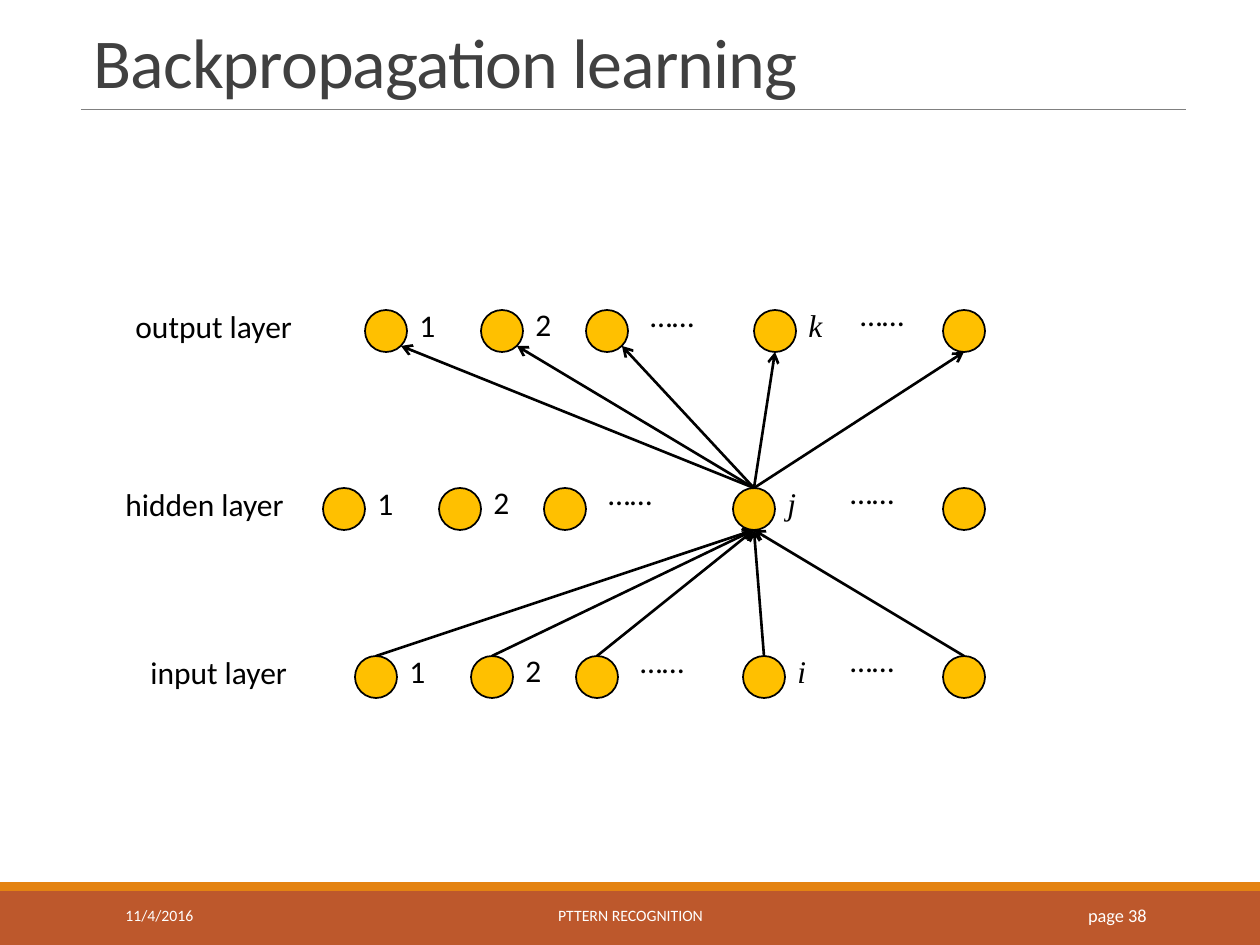
from dataclasses import dataclass

import lxml.etree
import pptx
import pptx.dml.color
import pptx.enum.shapes
import pptx.enum.text
import pptx.oxml.ns
import pptx.util

SCALE = 914400 / 126  # EMU per px
NODE = 42  # node diameter
TEXT_HEIGHT = 50
BLACK, WHITE = "000000", "FFFFFF"
Align = pptx.enum.text.PP_ALIGN
Anchor = pptx.enum.text.MSO_ANCHOR
Shape = pptx.enum.shapes.MSO_SHAPE


@dataclass
class Layer:
    name: str
    name_left: int
    name_width: int
    left: int
    top: int
    letter: str
    letter_node: int
    second_dots: int

    @property
    def nodes(self) -> list[int]:
        return [self.left, self.left + 116, self.left + 221, self.letter_node, 943]


@dataclass
class Footer:
    text: str
    left: int
    width: int
    size: float
    align: Align


LAYERS = [
    Layer("output layer", 123, 184, 365, 310, "k", 754, 848),
    Layer("hidden layer", 113, 186, 323, 488, "j", 733, 838),
    Layer("input layer", 138, 164, 355, 656, "i", 743, 838),
]
FOOTERS = [
    Footer("11/4/2016", 113, 256, 9, Align.LEFT),
    Footer("PTTERN RECOGNITION", 381, 499, 9, Align.CENTER),
    Footer("page 38", 1023, 136, 10.5, Align.RIGHT),
]


def px(length: float) -> pptx.util.Emu:
    return pptx.util.Emu(round(length * SCALE))


def color(value: str) -> pptx.dml.color.RGBColor:
    return pptx.dml.color.RGBColor.from_string(value)


def add_filled(slide, kind: Shape, left: int, top: int, width: int, height: int,
               fill: str, outline: str | None = None) -> None:
    shape = slide.shapes.add_shape(kind, px(left), px(top), px(width), px(height))
    shape.shadow.inherit = False
    shape.fill.solid()
    shape.fill.fore_color.rgb = color(fill)
    if outline:
        shape.line.color.rgb = color(outline)
        shape.line.width = pptx.util.Pt(1)
    else:
        shape.line.fill.background()


def style_span(span, size: float, hue: str, font: str = "Calibri", italic: bool = False) -> None:
    span.font.name = font
    span.font.size = pptx.util.Pt(size)
    span.font.color.rgb = color(hue)
    if italic:
        span.font.italic = True


def add_text(slide, text: str, left: int, top: int, width: int, size: float = 18,
             hue: str = BLACK, font: str = "Calibri", italic: bool = False,
             align: Align = Align.LEFT, anchor: Anchor = Anchor.TOP, wrap: bool = True) -> None:
    box = slide.shapes.add_textbox(px(left), px(top), px(width), px(TEXT_HEIGHT))
    frame = box.text_frame
    frame.text = text
    frame.word_wrap = wrap
    frame.vertical_anchor = anchor
    para = frame.paragraphs[0]
    para.alignment = align
    style_span(para.runs[0], size, hue, font, italic)


def add_line(slide, start: tuple[int, int], end: tuple[int, int], hue: str = BLACK,
             weight: float = 1.5, arrow: bool = True) -> None:
    line = slide.shapes.add_connector(
        pptx.enum.shapes.MSO_CONNECTOR.STRAIGHT, *map(px, start + end))
    line.line.color.rgb = color(hue)
    line.line.width = pptx.util.Pt(weight)
    qn = pptx.oxml.ns.qn
    if arrow:
        lxml.etree.SubElement(line.line._get_or_add_ln(), qn("a:tailEnd"), type="arrow")
    lxml.etree.SubElement(line._element.spPr, qn("a:effectLst"))


def add_title(slide, text: str) -> None:
    title = slide.shapes.title
    title.left, title.top, title.width, title.height = px(81), px(16), px(1105), px(93)
    frame = title.text_frame
    frame.text = text
    frame.auto_size = pptx.enum.text.MSO_AUTO_SIZE.NONE
    frame.vertical_anchor = Anchor.BOTTOM
    para = frame.paragraphs[0]
    para.alignment = Align.LEFT
    para.line_spacing = 0.85
    span = para.runs[0]
    style_span(span, 40, "404040")
    span.font._element.set("spc", "-50")


def add_layer(slide, layer: Layer) -> None:
    for left in layer.nodes:
        add_filled(slide, Shape.OVAL, left, layer.top, NODE, NODE, "FFC000", BLACK)
    add_text(slide, layer.name, layer.name_left, layer.top - 9, layer.name_width, wrap=False)
    add_text(slide, "1", layer.nodes[0] + NODE, layer.top - 10, NODE)
    add_text(slide, "2", layer.nodes[1] + NODE, layer.top - 11, NODE)
    add_text(slide, "……", layer.left + 273, layer.top - 20, 73)
    add_text(slide, "……", layer.second_dots, layer.top - 21, 73)
    add_text(slide, layer.letter, layer.letter_node + NODE, layer.top - 10, 73,
             font="Times New Roman", italic=True)


def add_arrows(slide, output: Layer, hidden: Layer, inputs: Layer) -> None:
    center = hidden.letter_node + NODE // 2
    for index, left in enumerate(output.nodes):
        # The first three arrows meet their node at its lower right
        offset = (36, 36) if index < 3 else (NODE // 2, NODE)
        add_line(slide, (center, hidden.top), (left + offset[0], output.top + offset[1]))
    for left in inputs.nodes:
        add_line(slide, (left + NODE // 2, inputs.top), (center, hidden.top + NODE))


def main() -> None:
    deck = pptx.Presentation()
    deck.slide_width, deck.slide_height = px(1260), px(945)
    page = deck.slides.add_slide(deck.slide_layouts[5])

    # Page frame and title
    add_filled(page, Shape.RECTANGLE, 0, 890, 1260, 55, "BD582C")
    add_filled(page, Shape.RECTANGLE, 0, 882, 1260, 9, "E48312")
    add_line(page, (81, 109), (1186, 109), "808080", 0.5, arrow=False)
    add_title(page, "Backpropagation learning")

    # Network
    for layer in LAYERS:
        add_layer(page, layer)
    add_arrows(page, *LAYERS)

    # Footer
    for footer in FOOTERS:
        add_text(page, footer.text, footer.left, 890, footer.width, footer.size, WHITE,
                 align=footer.align, anchor=Anchor.MIDDLE)

    deck.save("out.pptx")


if __name__ == "__main__":
    main()
